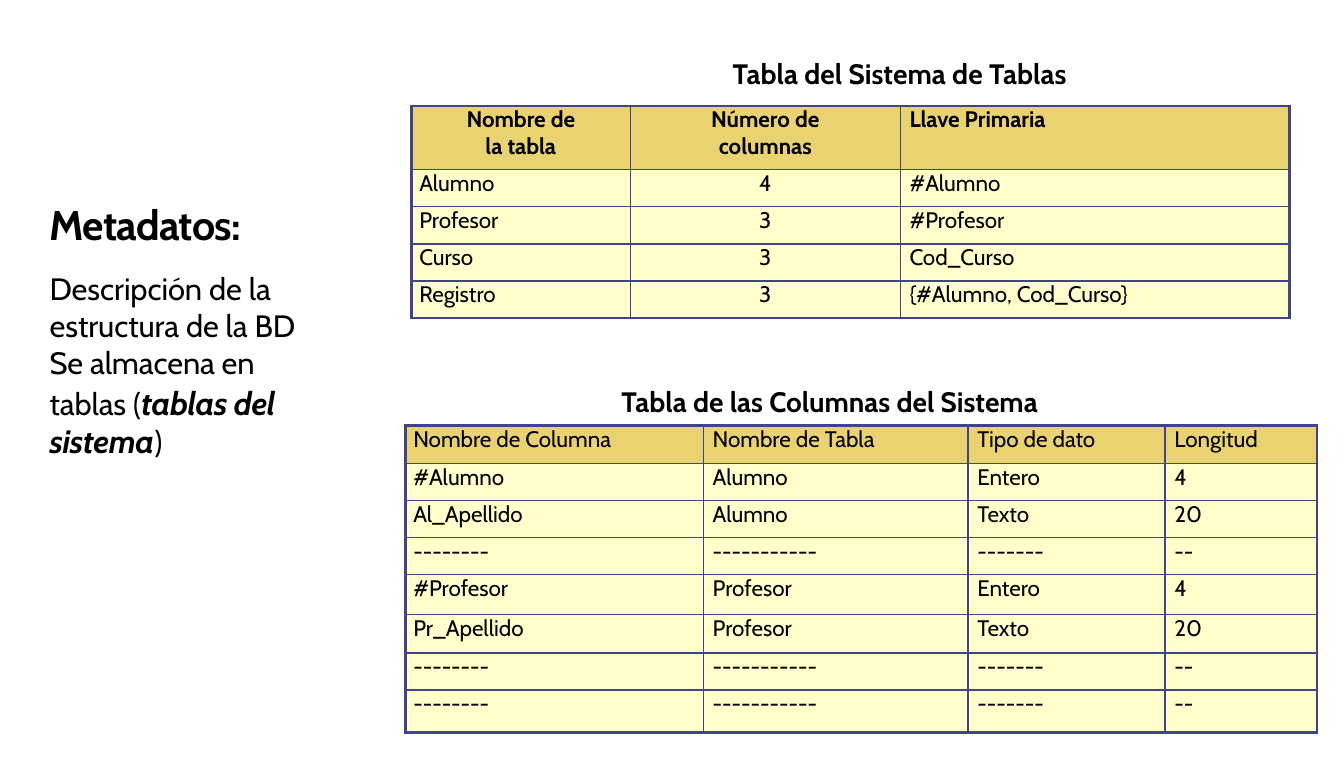
from lxml import etree
from pptx import Presentation
from pptx.dml.color import RGBColor
from pptx.enum.text import MSO_ANCHOR, PP_ALIGN
from pptx.oxml.ns import qn
from pptx.util import Pt

FONT = "Cabin"
INK = "000000"
BORDER = "40458B"
HEADER_FILL = "E9D270"
BODY_FILL = "FFFFCC"

SYSTEM_TABLES = [
    ["Nombre de\nla tabla", "Número de\ncolumnas", "Llave Primaria"],
    ["Alumno", "4", "#Alumno"],
    ["Profesor", "3", "#Profesor"],
    ["Curso", "3", "Cod_Curso"],
    ["Registro", "3", "{#Alumno, Cod_Curso}"],
]
OMITTED = ["--------", "-----------", "-------", "--"]
SYSTEM_COLUMNS = [
    ["Nombre de Columna", "Nombre de Tabla", "Tipo de dato", "Longitud"],
    ["#Alumno", "Alumno", "Entero", "4"],
    ["Al_Apellido", "Alumno", "Texto", "20"],
    OMITTED,
    ["#Profesor", "Profesor", "Entero", "4"],
    ["Pr_Apellido", "Profesor", "Texto", "20"],
    OMITTED,
    OMITTED,
]


def color(value):
    return RGBColor.from_string(value)


def style(font, size, bold=False, italic=False):
    font.name = FONT
    font.size = Pt(size)
    font.bold = bold
    font.italic = italic
    font.color.rgb = color(INK)


def add_run(paragraph, text, tracking=0):
    run = paragraph.add_run()
    run.text = text
    if tracking:
        run.font._element.set("spc", str(round(tracking * 100)))
    return run


def add_frame(slide, left, top, width, height):
    frame = slide.shapes.add_textbox(Pt(left), Pt(top), Pt(width), Pt(height)).text_frame
    frame.word_wrap = True
    frame.margin_left = Pt(0.7)
    frame.margin_right = frame.margin_top = frame.margin_bottom = 0
    return frame


def add_heading(slide, text, left, top, width, height, size, tracking):
    paragraph = add_frame(slide, left, top, width, height).paragraphs[0]
    add_run(paragraph, text, tracking)
    style(paragraph.font, size, bold=True)


def add_metadata(slide, left, top, width):
    add_heading(slide, "Metadatos:", left, top, width, 35, 29.5, -0.6)
    frame = add_frame(slide, left, top + 50.4, width + 9.4, 137.5)
    description = frame.paragraphs[0]
    add_run(description, "Descripción de la estructura de la BD", -0.03)
    storage = frame.add_paragraph()
    add_run(storage, "Se almacena en", -0.05)
    for paragraph in (description, storage):
        style(paragraph.font, 22)
    location = frame.add_paragraph()
    location.line_spacing = Pt(26.8)
    location.space_before = Pt(2.5)
    style(add_run(location, "tablas (", -0.05).font, 22)
    style(add_run(location, "tablas del sistema", -0.32).font, 23, bold=True, italic=True)
    style(add_run(location, ")", -0.1).font, 22)


def set_borders(cell, outer_edges):
    properties = cell._tc.get_or_add_tcPr()
    for edge, is_outer in zip("LRTB", outer_edges):
        line = etree.SubElement(properties, qn(f"a:ln{edge}"), w=str(Pt(2.25 if is_outer else 1)))
        fill = etree.SubElement(line, qn("a:solidFill"))
        etree.SubElement(fill, qn("a:srgbClr"), val=BORDER)


def fill_cell(cell, text, indent, bold, centered):
    cell.margin_left = 0 if centered else Pt(indent)
    cell.margin_right = cell.margin_top = cell.margin_bottom = 0
    cell.vertical_anchor = MSO_ANCHOR.TOP
    cell.text = text
    for paragraph in cell.text_frame.paragraphs:
        paragraph.alignment = PP_ALIGN.CENTER if centered else PP_ALIGN.LEFT
        style(paragraph.font, 16, bold=bold)


def add_catalog(slide, left, top, widths, heights, content, bold_header=False, centered=()):
    grid = slide.shapes.add_table(
        len(heights), len(widths), Pt(left), Pt(top), Pt(sum(widths)), Pt(sum(heights))
    ).table
    grid.first_row = grid.horz_banding = False
    for column, width in zip(grid.columns, widths):
        column.width = Pt(width)
    last_row, last_column = len(heights) - 1, len(widths) - 1
    for r, (height, entries) in enumerate(zip(heights, content)):
        grid.rows[r].height = Pt(height)
        for c, text in enumerate(entries):
            cell = grid.cell(r, c)
            fill_cell(cell, text, 6.7 if c else 5.8, bold_header and r == 0,
                      c in centered or "\n" in text)
            set_borders(cell, (c == 0, c == last_column, r == 0, r == last_row))
            cell.fill.solid()
            cell.fill.fore_color.rgb = color(HEADER_FILL if r == 0 else BODY_FILL)


def main():
    deck = Presentation()
    deck.slide_width, deck.slide_height = Pt(957.6), Pt(540)
    slide = deck.slides.add_slide(deck.slide_layouts[6])
    add_heading(slide, "Tabla del Sistema de Tablas", 521.3, 40.3, 374.4, 24.5, 20, 0)
    add_heading(slide, "Tabla de las Columnas del Sistema", 442.1, 273.6, 463, 24.5, 20, -0.02)
    add_metadata(slide, 34.6, 141.8, 212.4)
    add_catalog(slide, 293, 75.6, [156.2, 192.2, 277.2], [45.4] + [26.4] * 4,
                SYSTEM_TABLES, bold_header=True, centered=(1,))
    add_catalog(slide, 288.7, 303.1, [212.4, 188.6, 140.4, 108.3],
                [27.2, 26.4, 26.4, 26.4, 28.6, 27.2, 26.4, 30.2], SYSTEM_COLUMNS)
    deck.save("out.pptx")


if __name__ == "__main__":
    main()
